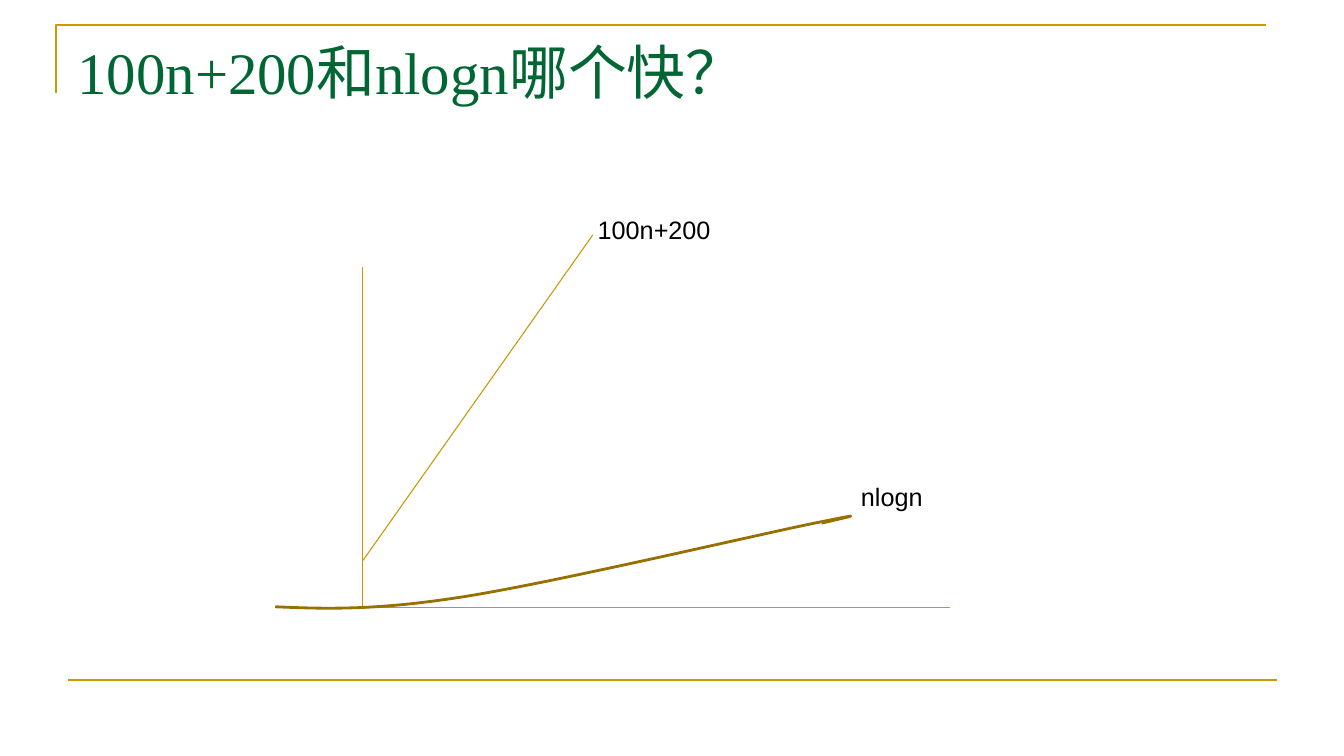
from dataclasses import dataclass

import pptx
import pptx.dml.color
import pptx.oxml.ns
import pptx.util
from lxml import etree

RGBColor = pptx.dml.color.RGBColor
Inches = pptx.util.Inches
Point = tuple[float, float]

GOLD = RGBColor(0xCC, 0x99, 0x00)
AXIS_GOLD = RGBColor(0xC8, 0x96, 0x00)
CURVE_BROWN = RGBColor(0x97, 0x71, 0x00)
GREEN = RGBColor(0x00, 0x66, 0x33)
BLACK = RGBColor(0x00, 0x00, 0x00)

STEPS = 24
ORIGIN = (3.6, 6.03)


@dataclass
class Line:
    start: Point
    end: Point
    color: RGBColor = AXIS_GOLD
    width: float = 0.75


@dataclass
class Label:
    text: str
    left: float
    top: float
    width: float


LINES = [
    Line((0.67, 6.75), (12.67, 6.75), GOLD, 1.5),
    Line((3.6, 2.65), ORIGIN),
    Line(ORIGIN, (9.42, 6.03)),
    Line((3.6, 5.56), (5.88, 2.33)),
]
LABELS = [
    Label("100n+200", 5.83, 2.08, 1.33),
    Label("nlogn", 8.44, 4.73, 0.82),
]
FRAME = [(0.56, 0.92), (0.56, 0.25), (12.56, 0.25)]
NLOGN_START = (2.73, 6.02)
NLOGN_BENDS = [
    ((3.22, 6.04), (3.71, 6.06), (4.6, 5.92)),
    ((5.49, 5.78), (7.49, 5.31), (8.08, 5.19)),
    ((8.67, 5.07), (8.41, 5.13), (8.15, 5.19)),
]


def bezier(a: Point, b: Point, c: Point, d: Point, t: float) -> Point:
    u = 1 - t
    x, y = (
        u**3 * a[i] + 3 * u * u * t * b[i] + 3 * u * t * t * c[i] + t**3 * d[i]
        for i in range(2)
    )
    return x, y


def curve_points(start: Point, bends: list[tuple[Point, Point, Point]]) -> list[Point]:
    points = [start]
    for b, c, d in bends:
        a = points[-1]
        points += [bezier(a, b, c, d, i / STEPS) for i in range(1, STEPS + 1)]
    return points


def add_line(s: pptx.slide.Slide, line: Line) -> None:
    x1, y1, x2, y2 = (Inches(v) for v in line.start + line.end)
    cn = s.shapes.add_connector(pptx.enum.shapes.MSO_CONNECTOR.STRAIGHT, x1, y1, x2, y2)
    cn.line.color.rgb = line.color
    cn.line.width = pptx.util.Pt(line.width)
    etree.SubElement(cn._element.spPr, pptx.oxml.ns.qn("a:effectLst"))


def add_path(s: pptx.slide.Slide, points: list[Point], color: RGBColor, width: float) -> None:
    emu = [(Inches(x), Inches(y)) for x, y in points]
    fb = s.shapes.build_freeform(*emu[0])
    fb.add_line_segments(emu[1:], close=False)
    sp = fb.convert_to_shape()
    sp.shadow.inherit = False
    sp.fill.background()
    sp.line.color.rgb = color
    sp.line.width = pptx.util.Pt(width)


def add_text(s: pptx.slide.Slide, text: str, *, left: float, top: float, width: float,
             height: float, font: str, size: float, color: RGBColor, wrap: bool) -> None:
    sp = s.shapes.add_textbox(Inches(left), Inches(top), Inches(width), Inches(height))
    tf = sp.text_frame
    tf.word_wrap = wrap
    r = tf.paragraphs[0].add_run()
    r.text = text
    r.font.name = font
    r.font.size = pptx.util.Pt(size)
    r.font.color.rgb = color


def main() -> None:
    prs = pptx.Presentation()
    prs.slide_width, prs.slide_height = Inches(13.33), Inches(7.5)
    s = prs.slides.add_slide(prs.slide_layouts[6])
    add_path(s, FRAME, GOLD, 1.5)
    add_text(s, "100n+200和nlogn哪个快？", left=0.67, top=0.3, width=12, height=1.25,
             font="Times New Roman", size=42, color=GREEN, wrap=True)
    for line in LINES:
        add_line(s, line)
    add_path(s, curve_points(NLOGN_START, NLOGN_BENDS), CURVE_BROWN, 2)
    for lb in LABELS:
        add_text(s, lb.text, left=lb.left, top=lb.top, width=lb.width, height=0.4,
                 font="Arial", size=18, color=BLACK, wrap=False)
    prs.save("out.pptx")


if __name__ == "__main__":
    main()
